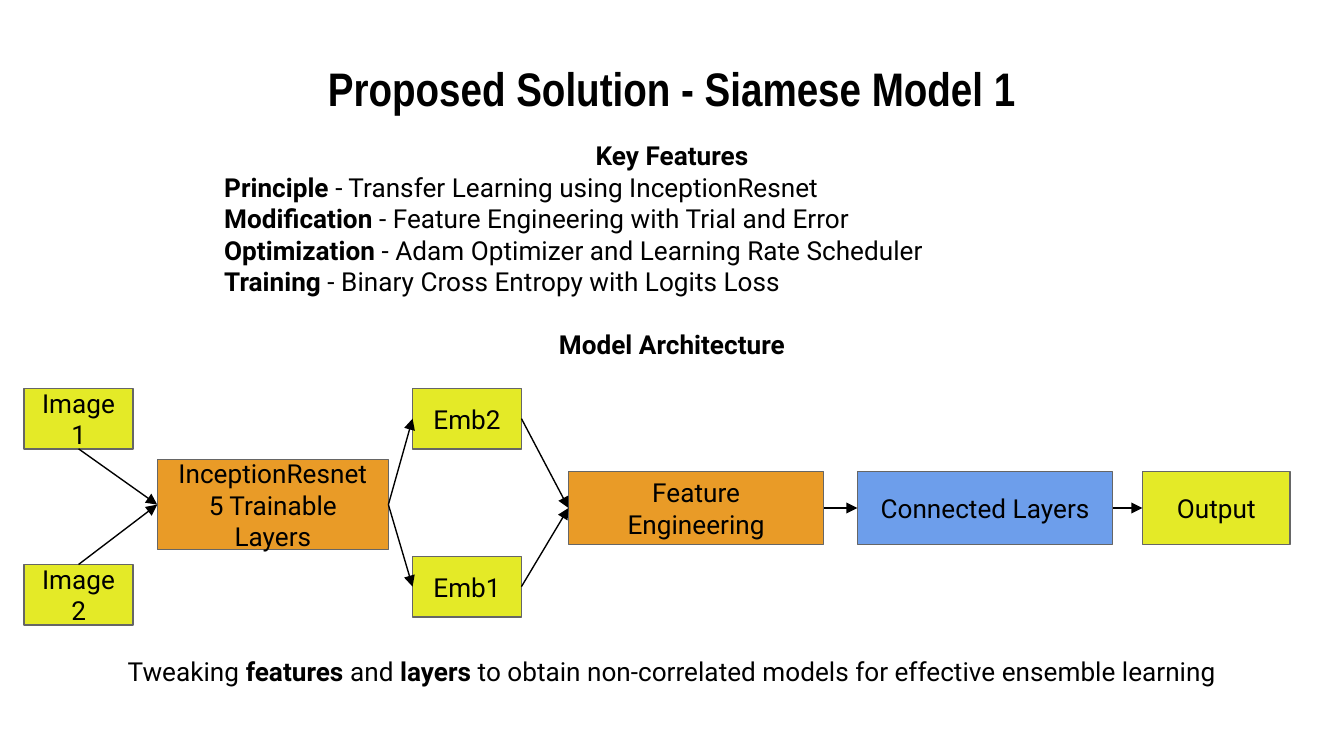
"""Build the Siamese model slide with its key features and architecture diagram."""
from lxml.etree import SubElement
from pptx import Presentation
from pptx.dml.color import RGBColor
from pptx.enum.shapes import MSO_CONNECTOR, MSO_SHAPE
from pptx.enum.text import MSO_ANCHOR, PP_ALIGN
from pptx.oxml.ns import qn
from pptx.util import Inches, Pt

COLORS = {"text": "000000", "outline": "666666", "data": "E4EA27",
          "process": "E99B27", "layers": "6D9EEB"}
TOP, LEFT, BOTTOM, RIGHT = range(4)


def color(name):
    return RGBColor.from_string(COLORS[name])


def write(shape, lines, anchor=MSO_ANCHOR.TOP, size=14, font="Roboto"):
    """Write (text, alignment) lines, with bold parts between asterisks."""
    frame = shape.text_frame
    frame.word_wrap = True
    frame.vertical_anchor = anchor
    frame.margin_left = frame.margin_right = Inches(0.1)
    frame.margin_top = frame.margin_bottom = Inches(0.1)
    for index, (text, alignment) in enumerate(lines):
        paragraph = frame.add_paragraph() if index else frame.paragraphs[0]
        paragraph.alignment = alignment
        paragraph.font.size = Pt(size)
        paragraph.font.name = font
        paragraph.font.color.rgb = color("text")
        for part, words in enumerate(text.split("*")):
            if words:
                run = paragraph.add_run()
                run.text = words
                run.font.bold = part % 2 == 1


presentation = Presentation()
presentation.slide_width = Inches(10)
presentation.slide_height = Inches(10 * 9 / 16)
slide = presentation.slides.add_slide(presentation.slide_layouts[6])

title = slide.shapes.add_textbox(Inches(0.5), Inches(0.45), Inches(9), Inches(0.41))
write(title, [("*Proposed Solution - Siamese Model 1*", PP_ALIGN.CENTER)],
      MSO_ANCHOR.MIDDLE, 25.2, "Arial Narrow")

features = slide.shapes.add_textbox(Inches(1.57), Inches(0.94), Inches(6.86), Inches(1.64))
write(features, [
    ("*Key Features*", PP_ALIGN.CENTER),
    ("*Principle* - Transfer Learning using InceptionResnet", PP_ALIGN.LEFT),
    ("*Modification* - Feature Engineering with Trial and Error", PP_ALIGN.LEFT),
    ("*Optimization* - Adam Optimizer and Learning Rate Scheduler", PP_ALIGN.LEFT),
    ("*Training* - Binary Cross Entropy with Logits Loss", PP_ALIGN.LEFT),
    ("*Model Architecture*", PP_ALIGN.CENTER),
])
features.text_frame.paragraphs[-1].space_before = Pt(16.8)

summary = slide.shapes.add_textbox(Inches(0.34), Inches(4.78), Inches(9.32), Inches(0.41))
write(summary, [("Tweaking *features *and *layers *to obtain non-correlated models "
                 "for effective ensemble learning", PP_ALIGN.CENTER)])

blocks = {
    "image 1": (["Image 1"], "data", 0.18, 2.89, 0.81, 0.45),
    "image 2": (["Image 2"], "data", 0.18, 4.2, 0.81, 0.45),
    "inception": (["InceptionResnet", "5 Trainable Layers"], "process", 1.17, 3.42, 1.72, 0.67),
    "embedding 1": (["Emb1"], "data", 3.07, 4.14, 0.81, 0.45),
    "embedding 2": (["Emb2"], "data", 3.07, 2.89, 0.81, 0.45),
    "engineering": (["Feature Engineering"], "process", 4.23, 3.51, 1.9, 0.54),
    "connected": (["Connected Layers"], "layers", 6.38, 3.51, 1.9, 0.54),
    "output": (["Output"], "data", 8.5, 3.51, 1.1, 0.54),
}
shapes = {}
for name, (lines, fill, *box) in blocks.items():
    shape = slide.shapes.add_shape(MSO_SHAPE.RECTANGLE, *map(Inches, box))
    shape.shadow.inherit = False
    shape.fill.solid()
    shape.fill.fore_color.rgb = color(fill)
    shape.line.color.rgb = color("outline")
    shape.line.width = Pt(0.75)
    write(shape, [(line, PP_ALIGN.CENTER) for line in lines], MSO_ANCHOR.MIDDLE)
    shapes[name] = shape

arrows = [
    ("image 1", BOTTOM, "inception"),
    ("image 2", TOP, "inception"),
    ("inception", RIGHT, "embedding 1"),
    ("inception", RIGHT, "embedding 2"),
    ("embedding 1", RIGHT, "engineering"),
    ("embedding 2", RIGHT, "engineering"),
    ("engineering", RIGHT, "connected"),
    ("connected", RIGHT, "output"),
]
for source, side, target in arrows:
    arrow = slide.shapes.add_connector(MSO_CONNECTOR.STRAIGHT, 0, 0, 0, 0)
    arrow.begin_connect(shapes[source], side)
    arrow.end_connect(shapes[target], LEFT)
    arrow.line.color.rgb = color("text")
    arrow.line.width = Pt(0.75)
    properties = arrow._element.spPr
    SubElement(properties.get_or_add_ln(), qn("a:tailEnd"), type="triangle")
    SubElement(properties, qn("a:effectLst"))

presentation.save("out.pptx")
